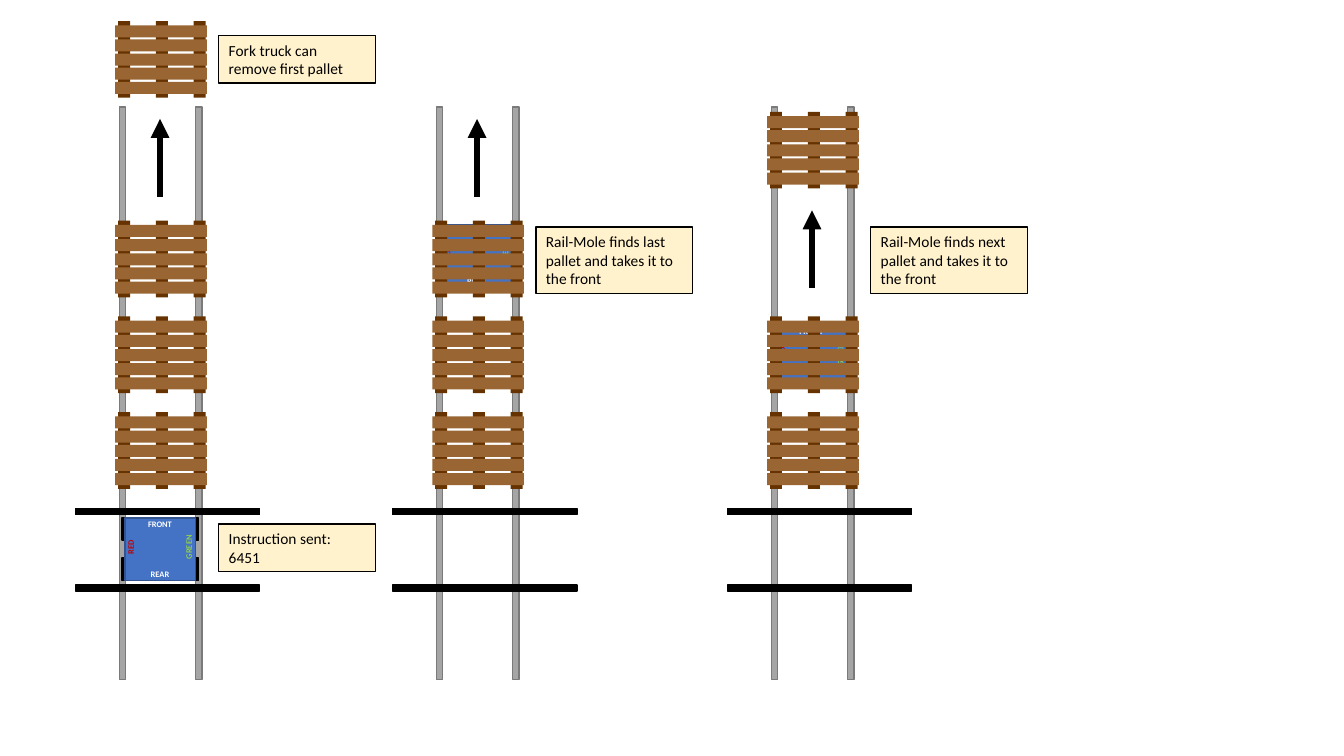
from pptx import Presentation
from pptx.dml.color import RGBColor
from pptx.enum.shapes import MSO_CONNECTOR, MSO_SHAPE
from pptx.enum.text import MSO_ANCHOR, PP_ALIGN
from pptx.oxml.ns import qn
from pptx.util import Pt
from lxml.etree import SubElement

BLACK = "000000"
WHITE = "FFFFFF"
PALLET_WIDTH, BOARD_HEIGHT, BOARD_STEP = 65.5, 8.6, 10.1
ROW_TOPS = [157.7, 226.1, 294.5]


def color(value):
    return RGBColor.from_string(value)


class RailPage:
    font = "Calibri"

    def __init__(self, page):
        self.page = page
        self.shapes = page.shapes

    def group(self):
        return self.page.shapes.add_group_shape().shapes

    def bar(self, shapes, left, top, width, height, fill, line=None):
        shape = shapes.add_shape(MSO_SHAPE.RECTANGLE, Pt(left), Pt(top), Pt(width), Pt(height))
        shape.shadow.inherit = False
        shape.fill.solid()
        shape.fill.fore_color.rgb = color(fill)
        if line:
            shape.line.color.rgb = color(line)
            shape.line.width = Pt(1)
        else:
            shape.line.fill.background()
        return shape

    def fill_text(self, frame, text, size, ink, bold, align):
        frame.word_wrap = True
        frame.vertical_anchor = MSO_ANCHOR.MIDDLE
        frame.text = text
        for para in frame.paragraphs:
            para.alignment = align
            for span in para.runs:
                span.font.name = self.font
                span.font.size = Pt(size)
                span.font.bold = bold
                span.font.color.rgb = color(ink)

    def track(self, left):
        rails = self.group()
        for offset in (2.9, 57.4):
            self.bar(rails, left + offset, 76.4, 4.5, 409, "A5A5A5", "7A7A7A")
        beams = self.group()
        for top in (363.2, 417.8):
            self.bar(beams, left - 28.5, top, 131.8, 4.5, BLACK, BLACK)

    def pallet(self, left, top):
        parts = self.group()
        for column in range(3):
            self.bar(parts, left + 2 + 27 * column, top, BOARD_HEIGHT, 54.7, "663300")
        for row in range(5):
            self.bar(parts, left, top + 3 + BOARD_STEP * row, PALLET_WIDTH, BOARD_HEIGHT, "996633")

    def vehicle(self, left, top, wheel_offsets, ends):
        parts = self.group()
        for across in wheel_offsets:
            for down in (0, 28.6):
                self.bar(parts, left + across, top + down, 3.6, 15.8, BLACK, BLACK)
        self.bar(parts, left, top, 50.4, 44.6, "4472C4", "325491")
        end_centers = {"FRONT": 4.3, "REAR": 40.3}
        for name in ends:
            self.label(parts, name, left + 25, top + end_centers[name], WHITE)
        self.label(parts, "GREEN", left + 45.4, top + 20.7, "92D050", 270)
        self.label(parts, "RED", left + 3.9, top + 20.7, "C00000", 270)

    def label(self, shapes, text, center_x, center_y, ink, turn=0):
        width, height = 31.7, 14.4
        box = shapes.add_textbox(Pt(center_x - width / 2), Pt(center_y - height / 2),
                                 Pt(width), Pt(height))
        box.rotation = turn
        frame = box.text_frame
        frame.margin_left = frame.margin_right = 0
        self.fill_text(frame, text, 6, ink, True, PP_ALIGN.CENTER)

    def note(self, left, top, height, text):
        box = self.bar(self.shapes, left, top, 111.8, height, "FFF2CC", BLACK)
        self.fill_text(box.text_frame, text, 11, BLACK, False, PP_ALIGN.LEFT)

    def arrow(self, x, bottom):
        arrow = self.shapes.add_connector(MSO_CONNECTOR.STRAIGHT,
                                          Pt(x), Pt(bottom), Pt(x), Pt(bottom - 55.6))
        arrow.line.color.rgb = color(BLACK)
        arrow.line.width = Pt(4.5)
        properties = arrow.element.spPr
        SubElement(properties.find(qn("a:ln")), qn("a:tailEnd"), type="triangle")
        SubElement(properties, qn("a:effectLst"))


# Each stage: left edge, vehicle (offset, top, wheels, ends), pallet tops,
# notes (top, height, text) and arrow bottom
STAGES = [
    (82.3, (7, 370.1, (-2.2, 49), ("FRONT", "REAR")), [15.1] + ROW_TOPS,
     [(374.4, 34, "Instruction sent:\n6451"),
      (25.4, 34, "Fork truck can remove first pallet")], 140.6),
    (308.8, (6.6, 160.6, (49,), ("REAR",)), ROW_TOPS,
     [(162.1, 47.4, "Rail-Mole finds last pallet and takes it to the front")], 140.6),
    (548, (6.6, 232.6, (49,), ("FRONT",)), [79.9] + ROW_TOPS[1:],
     [(162.1, 47.4, "Rail-Mole finds next pallet and takes it to the front")], 205.9),
]


def main():
    deck = Presentation()
    deck.slide_width, deck.slide_height = Pt(960), Pt(540)
    rail_page = RailPage(deck.slides.add_slide(deck.slide_layouts[6]))

    for left, (offset, top, wheels, ends), pallet_tops, notes, arrow_bottom in STAGES:
        # Track and vehicle, with the pallets above them
        rail_page.track(left)
        rail_page.vehicle(left + offset, top, wheels, ends)
        for pallet_top in pallet_tops:
            rail_page.pallet(left, pallet_top)
        # Explanation and direction of travel
        for note_top, height, text in notes:
            rail_page.note(left + 74, note_top, height, text)
        rail_page.arrow(left + 32, arrow_bottom)

    deck.save("out.pptx")


if __name__ == "__main__":
    main()
